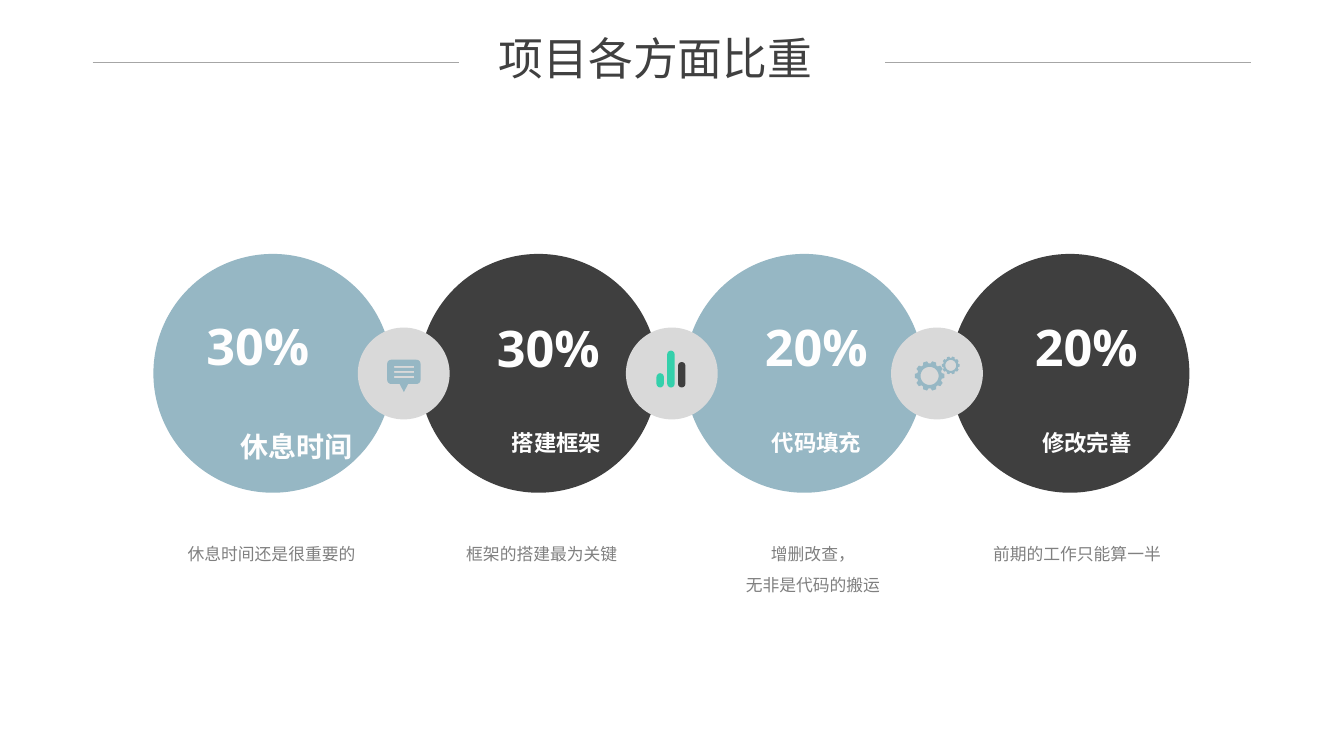
import math
from dataclasses import dataclass

from lxml import etree
from pptx import Presentation
from pptx import util as u
from pptx.dml.color import RGBColor
from pptx.enum import shapes, text
from pptx.oxml import ns

BLUE = RGBColor(0x96, 0xB7, 0xC4)
DARK = RGBColor(0x3F, 0x3F, 0x3F)
PALE = RGBColor(0xD9, 0xD9, 0xD9)
GREEN = RGBColor(0x34, 0xD0, 0xAB)
WHITE = RGBColor(0xFE, 0xFE, 0xFE)
GREY = RGBColor(0x80, 0x80, 0x80)
TITLE = RGBColor(0x40, 0x40, 0x40)
RULE = RGBColor(0xA6, 0xA6, 0xA6)
FONT = "Open Sans"

Contour = list[tuple[float, float]]


@dataclass(frozen=True)
class Stage:
    share: str
    share_left: float
    share_top: float
    label: str
    label_left: float
    label_size: float
    caption: str
    caption_left: float
    color: RGBColor


@dataclass(frozen=True)
class Bar:
    left: float
    height: float
    color: RGBColor


STAGES = [
    Stage("30%", 140.4, 221.8, "休息时间", 164.9, 20, "休息时间还是很重要的", 109.4, BLUE),
    Stage("30%", 347.8, 222.8, "搭建框架", 358.4, 16, "框架的搭建最为关键", 302.4, DARK),
    Stage("20%", 539.3, 222.5, "代码填充", 544.3, 16, "增删改查，\n无非是代码的搬运", 496.1, BLUE),
    Stage("20%", 732.2, 222.5, "修改完善", 737.3, 16, "前期的工作只能算一半", 684.7, DARK),
]
BADGE_LEFTS = [255.6, 447.1, 636.5]
BARS = [Bar(476.6, 26.4, GREEN), Bar(468.9, 10.2, GREEN), Bar(484.3, 18.2, DARK)]
BAR_BOTTOM = 276.8


def paint(shape, color: RGBColor) -> None:
    shape.shadow.inherit = False
    shape.fill.solid()
    shape.fill.fore_color.rgb = color
    shape.line.fill.background()


def add_preset(page, kind, left: float, top: float, width: float, height: float, color: RGBColor):
    shape = page.shapes.add_shape(kind, u.Pt(left), u.Pt(top), u.Pt(width), u.Pt(height))
    paint(shape, color)
    return shape


def add_outline(page, contours: list[Contour], color: RGBColor) -> None:
    scaled = [[(u.Pt(x), u.Pt(y)) for x, y in contour] for contour in contours]
    builder = page.shapes.build_freeform(*scaled[0][0])
    for index, contour in enumerate(scaled):
        if index:
            builder.move_to(*contour[0])
        builder.add_line_segments(contour[1:], close=True)
    paint(builder.convert_to_shape(), color)


def polar(x: float, y: float, radius: float, degrees: float) -> tuple[float, float]:
    angle = math.radians(degrees)
    return x + radius * math.cos(angle), y + radius * math.sin(angle)


def rectangle(left: float, top: float, width: float, height: float) -> Contour:
    right, bottom = left + width, top + height
    return [(left, top), (left, bottom), (right, bottom), (right, top)]


def rounded(left: float, top: float, width: float, height: float, radius: float) -> Contour:
    right, bottom = left + width - radius, top + height - radius
    centers = [(right, bottom), (left + radius, bottom), (left + radius, top + radius), (right, top + radius)]
    return [
        polar(x, y, radius, 90 * corner + step)
        for corner, (x, y) in enumerate(centers)
        for step in range(0, 91, 15)
    ]


def add_gear(page, x: float, y: float, radius: float) -> None:
    profile = [(-13, 0.84), (-8, 1), (8, 1), (13, 0.84)]
    teeth = [
        polar(x, y, radius * reach, 36 * tooth + offset)
        for tooth in range(10)
        for offset, reach in profile
    ]
    hole = [polar(x, y, radius * 0.61, -step) for step in range(0, 360, 10)]
    add_outline(page, [teeth, hole], BLUE)


def add_bubble(page) -> None:
    slots = [rectangle(281.5, 261.4 + 3.6 * row, 14.4, 1.5) for row in range(3)]
    add_outline(page, [rounded(276.6, 257, 23.8, 17.3, 2.9), *slots], BLUE)
    add_outline(page, [[(288.5, 280), (285.2, 273.8), (291.8, 273.8)]], BLUE)


def add_text(page, left: float, top: float, width: float, height: float, content: str,
             size: float, color: RGBColor, bold: bool = False, wrap: bool = False,
             align=text.PP_ALIGN.LEFT, spacing: float = 1.0):
    box = page.shapes.add_textbox(u.Pt(left), u.Pt(top), u.Pt(width), u.Pt(height))
    frame = box.text_frame
    frame.word_wrap = wrap
    frame.text = content
    for para in frame.paragraphs:
        para.alignment = align
        para.line_spacing = spacing
        for span in para.runs:
            span.font.name = FONT
            span.font.size = u.Pt(size)
            span.font.bold = bold
            span.font.color.rgb = color
    return frame


def add_rule(page, left: float, width: float) -> None:
    line = page.shapes.add_connector(
        shapes.MSO_CONNECTOR.STRAIGHT, u.Pt(left), u.Pt(44.3), u.Pt(left + width), u.Pt(44.3))
    line.line.color.rgb = RULE
    line.line.width = u.Pt(0.5)
    etree.SubElement(line._element.spPr, ns.qn("a:effectLst"))


def add_stage_text(page, stage: Stage) -> None:
    add_text(page, stage.share_left, stage.share_top, 93.6, 51.1, stage.share, 36, WHITE, bold=True)
    add_text(page, stage.label_left, 303.1, 4 * stage.label_size + 15, 1.45 * stage.label_size + 3,
             stage.label, stage.label_size, WHITE, bold=True)
    add_text(page, stage.caption_left, 378, 169.2, 26.6 + 21.6 * stage.caption.count("\n"), stage.caption,
             12, GREY, wrap=True, align=text.PP_ALIGN.CENTER, spacing=1.5)


def main() -> None:
    deck = Presentation()
    deck.slide_width, deck.slide_height = u.Pt(960), u.Pt(540)
    page = deck.slides.add_slide(deck.slide_layouts[6])

    for index, stage in enumerate(STAGES):
        add_preset(page, shapes.MSO_SHAPE.OVAL, 109.6 + 189.8 * index, 181.4, 170.6, 170.6, stage.color)
    for left in BADGE_LEFTS:
        add_preset(page, shapes.MSO_SHAPE.OVAL, left, 234, 65.6, 65.6, PALE)

    add_bubble(page)
    add_gear(page, 664, 268.5, 10.6)
    add_gear(page, 679.1, 261, 6.4)
    for bar in BARS:
        column = add_preset(page, shapes.MSO_SHAPE.ROUNDED_RECTANGLE,
                            bar.left, BAR_BOTTOM - bar.height, 5.3, bar.height, bar.color)
        column.adjustments[0] = 0.5

    for stage in STAGES:
        add_stage_text(page, stage)

    title = add_text(page, 321.1, 21.6, 294.5, 38.9, "项目各方面比重", 32, TITLE,
                     wrap=True, align=text.PP_ALIGN.CENTER)
    title.vertical_anchor = text.MSO_ANCHOR.MIDDLE
    title.margin_left = title.margin_top = title.margin_right = title.margin_bottom = 0
    for left in (66.2, 632.2):
        add_rule(page, left, 261.4)

    deck.save("out.pptx")


if __name__ == "__main__":
    main()
